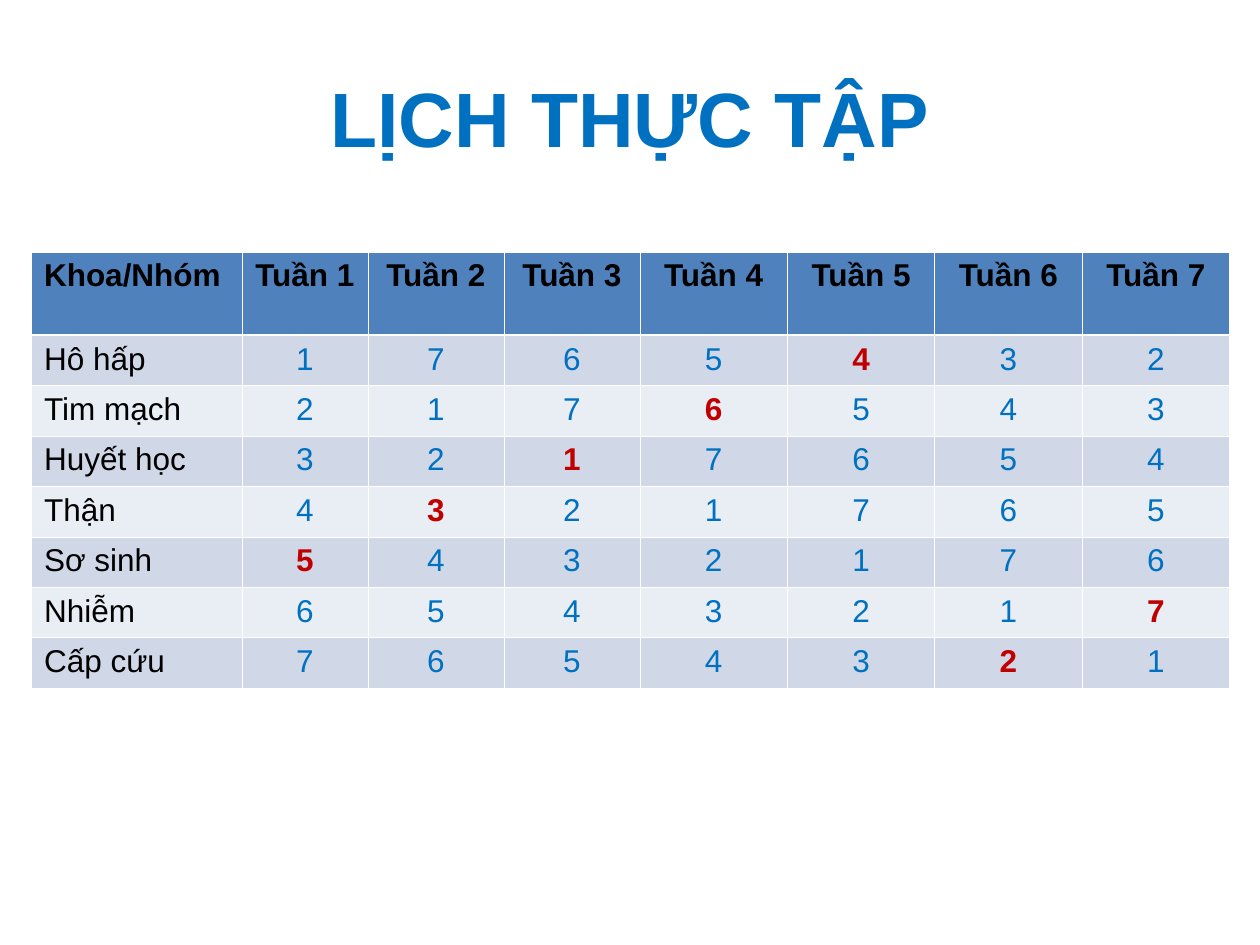
from dataclasses import dataclass

from lxml.etree import SubElement
from pptx import Presentation
from pptx.dml.color import RGBColor
from pptx.enum.text import MSO_ANCHOR, PP_ALIGN
from pptx.oxml.ns import qn
from pptx.util import Inches, Pt


@dataclass(frozen=True)
class Theme:
    font: str = "Arial"
    title_size: float = 44
    table_size: float = 18
    blue: str = "0070C0"
    red: str = "C00000"
    black: str = "000000"
    header_fill: str = "4F81BD"
    row_fills: tuple = ("D0D8E8", "E9EDF4")
    border: str = "FFFFFF"
    thin_line: float = 0.45
    thick_line: float = 1.47


THEME = Theme()
DEPARTMENTS = ["Hô hấp", "Tim mạch", "Huyết học", "Thận", "Sơ sinh", "Nhiễm", "Cấp cứu"]
GROUP_COUNT = len(DEPARTMENTS)
COLUMN_WIDTHS = [1.67, 1, 1.08, 1.08, 1.17, 1.17, 1.17, 1.17]
HEADER_HEIGHT = 0.66
ROW_HEIGHT = 0.38


def write_text(frame, text, size, color, bold, alignment):
    para = frame.paragraphs[0]
    para.alignment = alignment
    span = para.add_run()
    span.text = text
    span.font.name = THEME.font
    span.font.size = Pt(size)
    span.font.bold = bold
    span.font.color.rgb = RGBColor.from_string(color)


def add_title(page, text):
    box = page.shapes.add_textbox(Inches(0.5), Inches(0.3), Inches(9), Inches(1.25))
    frame = box.text_frame
    frame.word_wrap = True
    frame.vertical_anchor = MSO_ANCHOR.MIDDLE
    write_text(frame, text, THEME.title_size, THEME.blue, True, PP_ALIGN.CENTER)


def set_borders(cell, top, bottom):
    properties = cell._tc.get_or_add_tcPr()
    sides = [("L", THEME.thin_line), ("R", THEME.thin_line), ("T", top), ("B", bottom)]
    for position, (side, width) in enumerate(sides):
        line = SubElement(properties, qn(f"a:ln{side}"), w=str(int(Pt(width))))
        fill = SubElement(line, qn("a:solidFill"))
        SubElement(fill, qn("a:srgbClr"), val=THEME.border)
        properties.insert(position, line)


def fill_cell(cell, text, fill, color, bold, alignment, top, bottom):
    cell.fill.solid()
    cell.fill.fore_color.rgb = RGBColor.from_string(fill)
    write_text(cell.text_frame, text, THEME.table_size, color, bold, alignment)
    set_borders(cell, top, bottom)


def fill_header(table):
    labels = ["Khoa/Nhóm"] + [f"Tuần {week + 1}" for week in range(GROUP_COUNT)]
    for column, label in enumerate(labels):
        alignment = PP_ALIGN.CENTER if column else PP_ALIGN.LEFT
        fill_cell(table.cell(0, column), label, THEME.header_fill, THEME.black,
                  True, alignment, THEME.thin_line, THEME.thick_line)


def fill_department(table, index, name):
    row = index + 1
    fill = THEME.row_fills[index % 2]
    top = THEME.thin_line if index else THEME.thick_line
    fill_cell(table.cell(row, 0), name, fill, THEME.black, False,
              PP_ALIGN.LEFT, top, THEME.thin_line)
    for week in range(GROUP_COUNT):
        group = (index - week) % GROUP_COUNT + 1
        highlighted = (index + week) % GROUP_COUNT == 4
        color = THEME.red if highlighted else THEME.blue
        fill_cell(table.cell(row, week + 1), str(group), fill, color, highlighted,
                  PP_ALIGN.CENTER, top, THEME.thin_line)


def add_schedule(page):
    heights = [HEADER_HEIGHT] + [ROW_HEIGHT] * GROUP_COUNT
    table = page.shapes.add_table(
        len(heights), len(COLUMN_WIDTHS), Inches(0.25), Inches(2),
        Inches(sum(COLUMN_WIDTHS)), Inches(sum(heights))).table
    for column, width in zip(table.columns, COLUMN_WIDTHS):
        column.width = Inches(width)
    for row, height in zip(table.rows, heights):
        row.height = Inches(height)
    fill_header(table)
    for index, name in enumerate(DEPARTMENTS):
        fill_department(table, index, name)


def main():
    deck = Presentation()
    deck.slide_width = Inches(10)
    deck.slide_height = Inches(7.5)
    page = deck.slides.add_slide(deck.slide_layouts[6])
    add_title(page, "LỊCH THỰC TẬP")
    add_schedule(page)
    deck.save("out.pptx")


if __name__ == "__main__":
    main()
